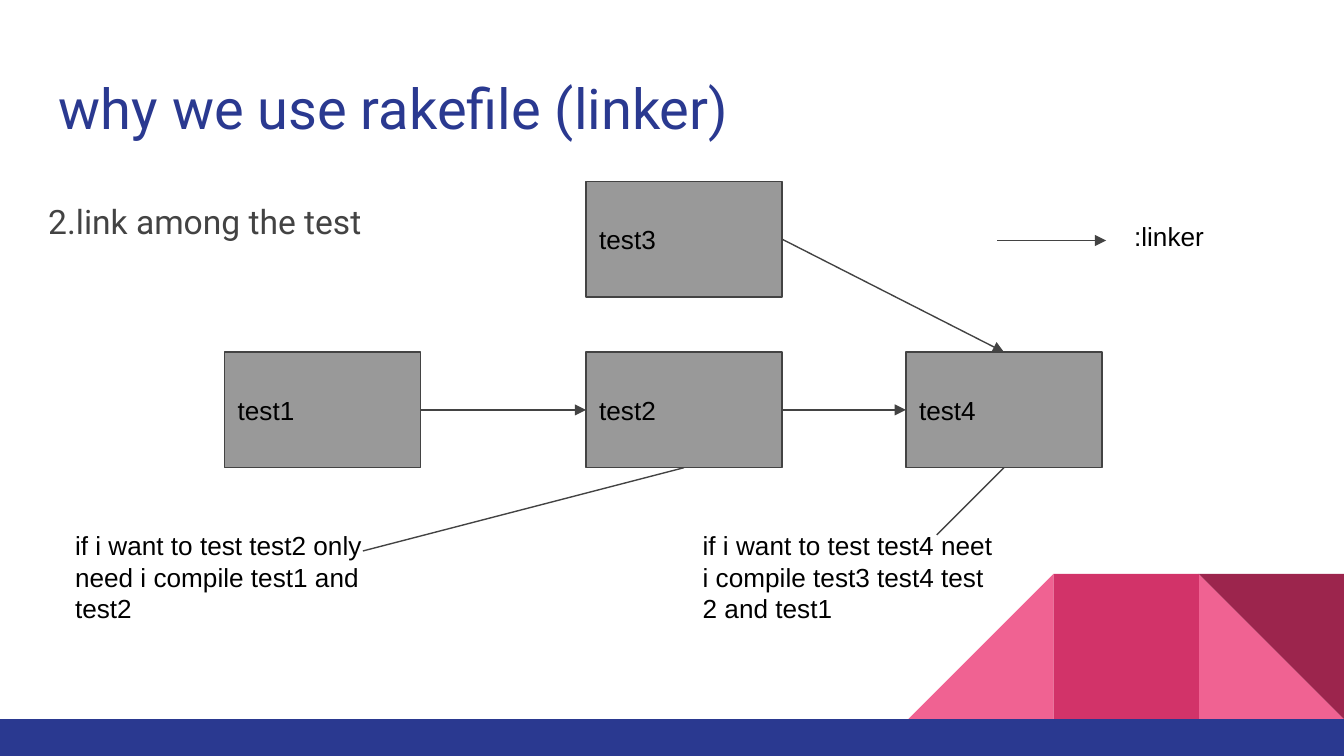
from lxml import etree
from pptx import Presentation
from pptx.dml.color import RGBColor
from pptx.enum.shapes import MSO_CONNECTOR, MSO_SHAPE
from pptx.enum.text import MSO_ANCHOR, PP_ALIGN
from pptx.oxml.ns import qn
from pptx.util import Inches, Pt

RECTANGLE = MSO_SHAPE.RECTANGLE
TRIANGLE = MSO_SHAPE.RIGHT_TRIANGLE
STRAIGHT = MSO_CONNECTOR.STRAIGHT
MIDDLE = MSO_ANCHOR.MIDDLE
LEFT = PP_ALIGN.LEFT

TOP_SIDE, LEFT_SIDE, BOTTOM_SIDE, RIGHT_SIDE = range(4)
BLUE, GRAY, DARK, BLACK = "2A3990", "999999", "434343", "000000"
PINK, ROSE, MAROON = "F06292", "D23369", "9C254D"
BOX_WIDTH, BOX_HEIGHT = 1.46, 0.86
TILE, TILE_TOP = 1.08, 4.27


def color(value):
    return RGBColor.from_string(value)


def add_filled_shape(page, kind, left, top, width, height, fill):
    shape = page.shapes.add_shape(
        kind, Inches(left), Inches(top), Inches(width), Inches(height))
    shape.shadow.inherit = False
    shape.fill.solid()
    shape.fill.fore_color.rgb = color(fill)
    shape.line.fill.background()
    return shape


def write_text(shape, text, size=14, font="Arial", font_color=BLACK):
    """Fill a shape with one left-aligned, wrapped paragraph."""
    frame = shape.text_frame
    frame.text = text
    frame.word_wrap = True
    frame.margin_left = frame.margin_right = Inches(0.1)
    frame.margin_top = frame.margin_bottom = Inches(0.1)
    para = frame.paragraphs[0]
    para.alignment = LEFT
    for run in para.runs:
        run.font.size = Pt(size)
        run.font.name = font
        run.font.color.rgb = color(font_color)
    return para


def add_text(page, text, left, top, width, height, **style):
    box = page.shapes.add_textbox(
        Inches(left), Inches(top), Inches(width), Inches(height))
    return write_text(box, text, **style)


def add_test_box(page, text, left, top):
    box = add_filled_shape(page, RECTANGLE, left, top, BOX_WIDTH, BOX_HEIGHT, GRAY)
    box.line.fill.solid()
    box.line.color.rgb = color(DARK)
    box.line.width = Pt(0.75)
    write_text(box, text)
    box.text_frame.vertical_anchor = MIDDLE
    return box


def add_line(page, start=(0, 0), end=(0, 0), start_join=None, end_join=None, arrow=True):
    """Draw a line between points, or between (box, side) joins."""
    line = page.shapes.add_connector(
        STRAIGHT, *(Inches(value) for value in (*start, *end)))
    if start_join:
        line.begin_connect(*start_join)
    if end_join:
        line.end_connect(*end_join)
    line.line.color.rgb = color(DARK)
    line.line.width = Pt(0.75)
    if arrow:
        etree.SubElement(line.line._get_or_add_ln(), qn("a:tailEnd"), type="triangle")
    etree.SubElement(line._element.spPr, qn("a:effectLst"))


def add_decoration(page):
    lefts = [10 - TILE * count for count in (3, 2, 1)]
    tiles = [(TRIANGLE, lefts[2], PINK), (TRIANGLE, lefts[0], PINK),
             (RECTANGLE, lefts[1], ROSE), (TRIANGLE, lefts[2], MAROON)]
    shapes = [add_filled_shape(page, kind, left, TILE_TOP, TILE, TILE, fill)
              for kind, left, fill in tiles]
    shapes[1]._element.spPr.xfrm.set("flipH", "1")
    shapes[3].rotation = 180
    add_filled_shape(page, RECTANGLE, 0, TILE_TOP + TILE, 10, 0.28, BLUE)


def add_diagram(page):
    places = {"test1": (1.67, 2.62), "test2": (4.36, 2.62),
              "test4": (6.74, 2.62), "test3": (4.36, 1.35)}
    boxes = {name: add_test_box(page, name, *place) for name, place in places.items()}
    for source, target, side in (("test1", "test2", LEFT_SIDE),
                                 ("test2", "test4", LEFT_SIDE),
                                 ("test3", "test4", TOP_SIDE)):
        add_line(page, start_join=(boxes[source], RIGHT_SIDE),
                 end_join=(boxes[target], side))

    add_text(page, "if i want to test test2 only need i compile test1 and test2",
             0.46, 3.84, 2.55, 0.93)
    add_text(page, "if i want to test test4 neet i compile test3 test4 test 2 and test1",
             5.13, 3.84, 2.41, 0.86)
    for name, end in (("test2", (2.7, 4.1)), ("test4", (6.97, 3.98))):
        add_line(page, end=end, start_join=(boxes[name], BOTTOM_SIDE), arrow=False)


def add_legend(page):
    add_line(page, (7.42, 1.79), (8.23, 1.79))
    add_text(page, ":linker", 8.34, 1.54, 1.05, 0.51)


def main():
    deck = Presentation()
    deck.slide_width = Inches(10)
    deck.slide_height = deck.slide_width * 9 // 16
    page = deck.slides.add_slide(deck.slide_layouts[6])
    add_decoration(page)
    add_text(page, "why we use rakefile (linker)", 0.34, 0.45, 9.32, 0.66,
             size=30, font="Roboto", font_color=BLUE)
    para = add_text(page, "2.link among the test", 0.26, 1.35, 9.32, 3.65,
                    size=18, font="Roboto", font_color=DARK)
    para.line_spacing = 1.15
    para.space_after = Pt(16)
    add_diagram(page)
    add_legend(page)
    deck.save("out.pptx")


if __name__ == "__main__":
    main()
